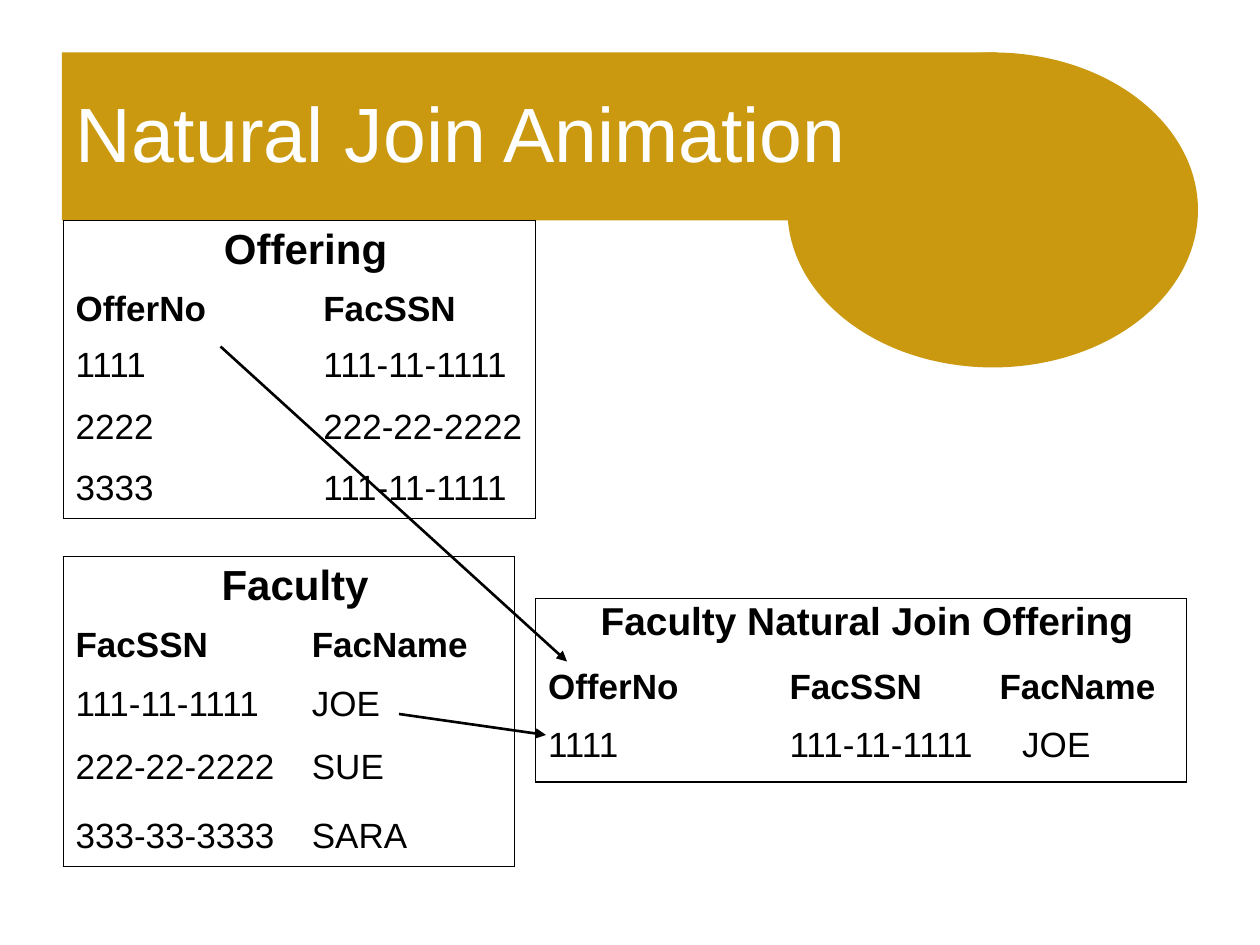
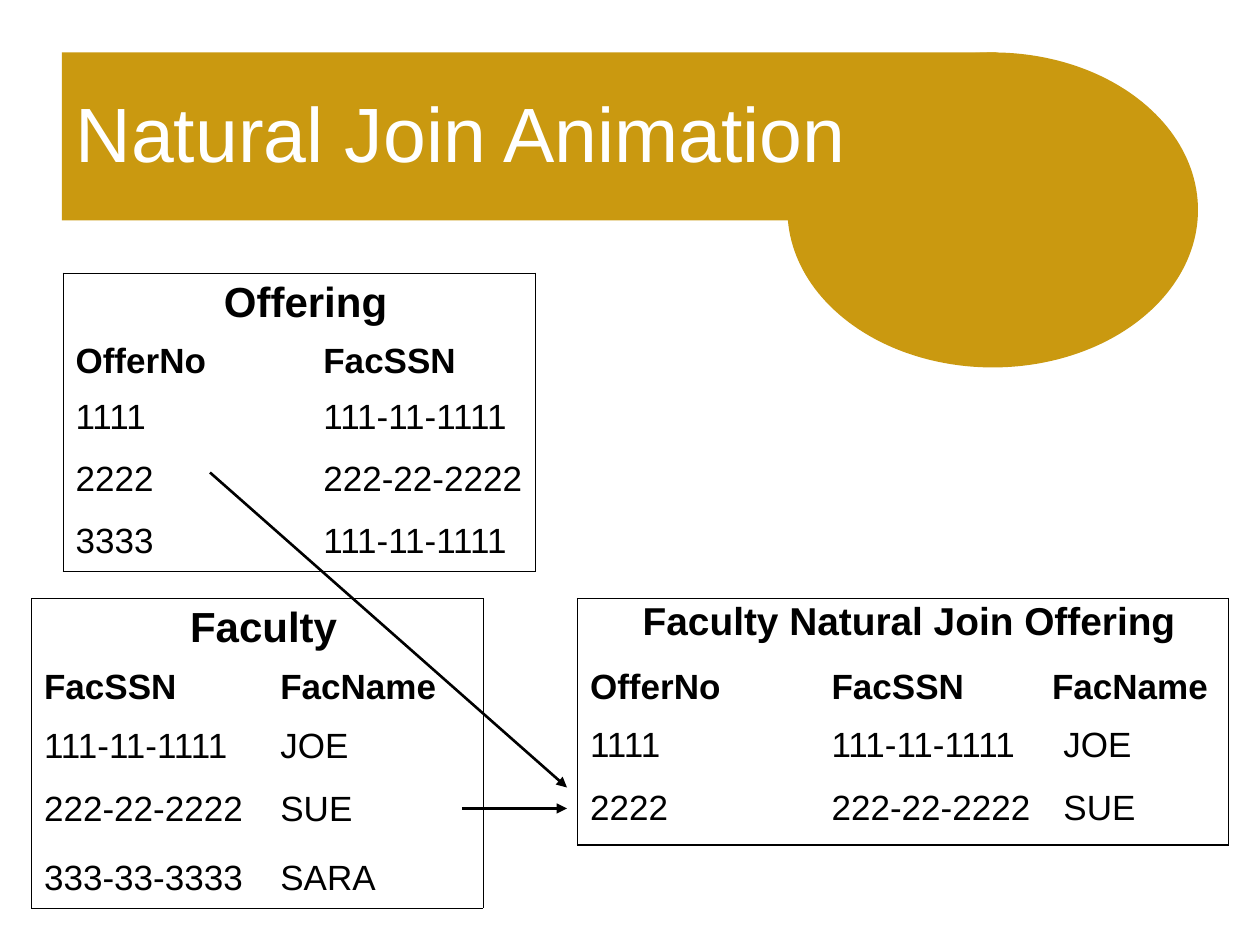
from lxml import etree
from pptx import Presentation
from pptx.dml.color import RGBColor
from pptx.enum.shapes import MSO_CONNECTOR, MSO_SHAPE
from pptx.enum.text import MSO_ANCHOR, MSO_AUTO_SIZE, PP_ALIGN
from pptx.oxml.ns import qn
from pptx.util import Inches, Pt

RECTANGLE, OVAL = MSO_SHAPE.RECTANGLE, MSO_SHAPE.OVAL
STRAIGHT = MSO_CONNECTOR.STRAIGHT
MIDDLE, NO_FIT = MSO_ANCHOR.MIDDLE, MSO_AUTO_SIZE.NONE
LEFT, CENTER = PP_ALIGN.LEFT, PP_ALIGN.CENTER

GOLD, WHITE, BLACK = "CA9910", "FFFFFF", "000000"
FONT = "Arial"
TITLE = "Natural Join Animation"
TITLE_ONLY = 5
CELLS_PER_INCH = 12  # the slide is a grid of 120 columns and 90 rows

# Tables: heading, rows (column names first), column widths, row heights
OFFERING = (
    "Offering",
    [("OfferNo", "FacSSN"), ("1111", "111-11-1111"),
     ("2222", "222-22-2222"), ("3333", "111-11-1111")],
    (23.6, 21.4), (6, 5.3, 5.9, 5.9, 5.3))
FACULTY = (
    "Faculty",
    [("FacSSN", "FacName"), ("111-11-1111", "JOE"),
     ("222-22-2222", "SUE"), ("333-33-3333", "SARA")],
    (22.5, 20.5), (6, 5.6, 6, 6.6, 5.3))
JOIN_HEADING = "Faculty Natural Join Offering"
JOIN_ROWS = [("OfferNo", "FacSSN", "FacName"),
             ("1111", "111-11-1111", "JOE"),
             ("2222", "222-22-2222", "SUE")]
JOIN_HEIGHTS = (6, 5.5, 6, 6)


def grid(count):
    return Inches(count / CELLS_PER_INCH)


def color(hex_string):
    return RGBColor.from_string(hex_string)


def write(paragraph, text, size, hex_color=BLACK, bold=False, align=LEFT):
    paragraph.alignment = align
    run = paragraph.add_run()
    run.text = text
    font = run.font
    font.name, font.size, font.bold = FONT, Pt(size), bold
    font.color.rgb = color(hex_color)


def add_band(slide, kind, *box):
    shape = slide.shapes.add_shape(kind, *map(grid, box))
    shape.shadow.inherit = False
    shape.fill.solid()
    shape.fill.fore_color.rgb = color(GOLD)
    shape.line.fill.background()


def add_titled_slide(presentation):
    slide = presentation.slides.add_slide(presentation.slide_layouts[TITLE_ONLY])
    add_band(slide, RECTANGLE, 5.9, 5, 89, 16)
    add_band(slide, OVAL, 75, 5, 39.1, 30)
    # Title goes in front of the bands
    title = slide.shapes.title
    title.element.getparent().append(title.element)
    title.left, title.top, title.width, title.height = map(grid, (6, 5, 105, 15))
    frame = title.text_frame
    frame.auto_size, frame.vertical_anchor = NO_FIT, MIDDLE
    write(frame.paragraphs[0], TITLE, 44, WHITE)
    return slide


def set_borders(cell, drawn_sides, width):
    properties = cell._tc.get_or_add_tcPr()
    for side in "LRTB":
        line = etree.SubElement(properties, qn(f"a:ln{side}"), w=str(Pt(width)))
        if side in drawn_sides:
            fill = etree.SubElement(line, qn("a:solidFill"))
            etree.SubElement(fill, qn("a:srgbClr"), val=BLACK)
        else:
            etree.SubElement(line, qn("a:noFill"))


def add_framed_table(slide, left, top, heading, rows, widths, heights,
                     heading_size=24, heading_spacing=1.0, border=0.45):
    """Add a table with a merged heading row and an outer frame only."""
    box = map(grid, (left, top, sum(widths), sum(heights)))
    table = slide.shapes.add_table(len(heights), len(widths), *box).table
    table.first_row = table.horz_banding = False
    for column, width in zip(table.columns, widths):
        column.width = grid(width)
    for row, height in zip(table.rows, heights):
        row.height = grid(height)

    last_row, last_column = len(heights) - 1, len(widths) - 1
    for row in range(last_row + 1):
        for column in range(last_column + 1):
            cell = table.cell(row, column)
            sides = (("L" if column == 0 else "")
                     + ("R" if column == last_column or row == 0 else "")
                     + ("T" if row == 0 else "")
                     + ("B" if row == last_row else ""))
            set_borders(cell, sides, border)
            cell.fill.background()
            cell.margin_right = 0
            if row:
                write(cell.text_frame.paragraphs[0], rows[row - 1][column],
                      20, bold=row == 1)

    heading_cell = table.cell(0, 0)
    heading_cell.merge(table.cell(0, last_column))
    paragraph = heading_cell.text_frame.paragraphs[0]
    paragraph.line_spacing = heading_spacing
    write(paragraph, heading, heading_size, bold=True, align=CENTER)
    return table


def add_join(slide, left, widths, matches, name_indent):
    """Add the join result with its first matches; names are indented."""
    table = add_framed_table(
        slide, left, 57, JOIN_HEADING, JOIN_ROWS[:matches + 1], widths,
        JOIN_HEIGHTS[:matches + 2], 22.2, 0.9, 1)
    for row in range(2, matches + 2):
        table.cell(row, 2).margin_left = grid(name_indent)


def add_arrow(slide, *ends):
    connector = slide.shapes.add_connector(STRAIGHT, *map(grid, ends))
    connector.line.color.rgb = color(BLACK)
    connector.line.width = Pt(1.5)
    properties = connector.element.spPr
    etree.SubElement(properties.find(qn("a:ln")), qn("a:tailEnd"), type="triangle")
    etree.SubElement(properties, qn("a:effectLst"))


def main():
    presentation = Presentation()
    presentation.slide_width, presentation.slide_height = Inches(10), Inches(7.5)

    # First match: offering 1111 with JOE
    slide = add_titled_slide(presentation)
    add_framed_table(slide, 6, 53, *FACULTY)
    add_framed_table(slide, 6, 21, *OFFERING)
    add_join(slide, 51, (23, 20, 19), matches=1, name_indent=3.36)
    add_arrow(slide, 38, 68, 52, 70)
    add_arrow(slide, 21, 33, 54, 63)

    # Second match: offering 2222 with SUE
    slide = add_titled_slide(presentation)
    add_framed_table(slide, 3, 57, *FACULTY)
    add_framed_table(slide, 6, 26, *OFFERING)
    add_join(slide, 55, (23, 21, 18), matches=2, name_indent=2.28)
    add_arrow(slide, 20, 45, 54, 75)
    add_arrow(slide, 44, 77, 54, 77)

    presentation.save("out.pptx")


if __name__ == "__main__":
    main()
